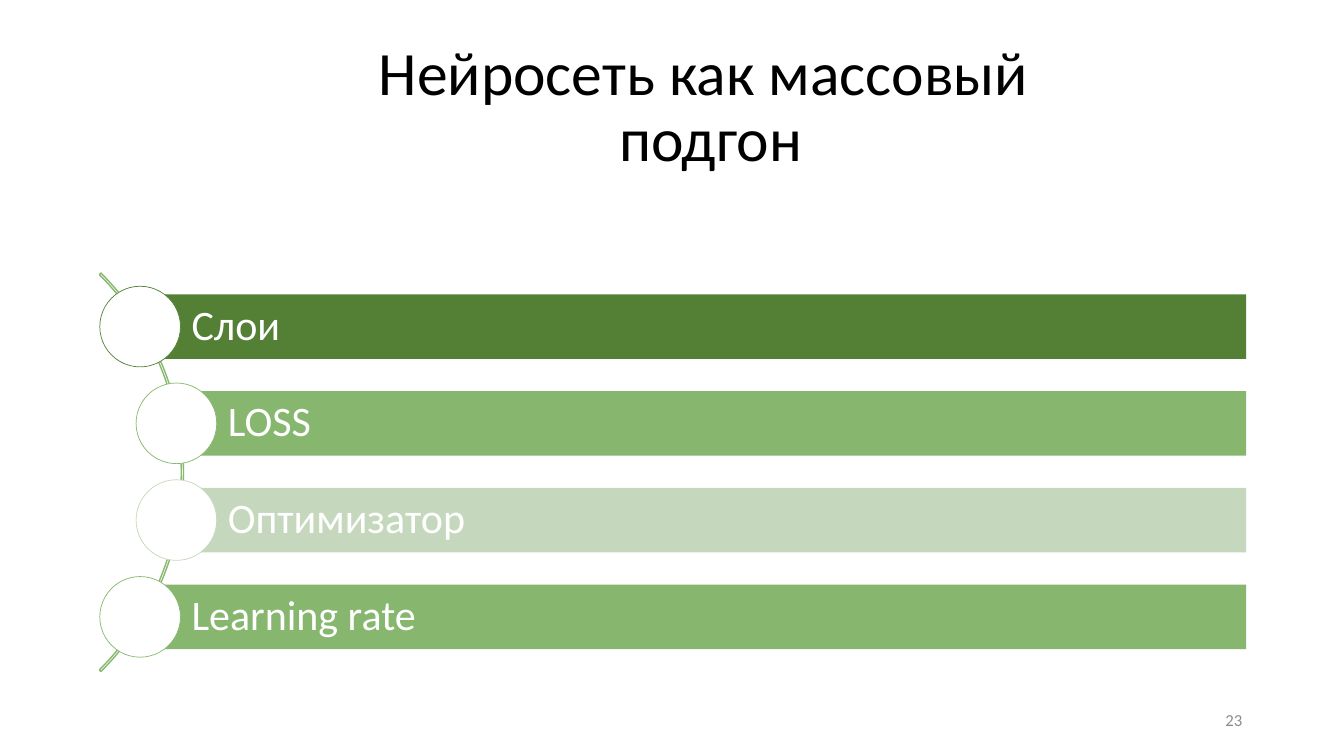
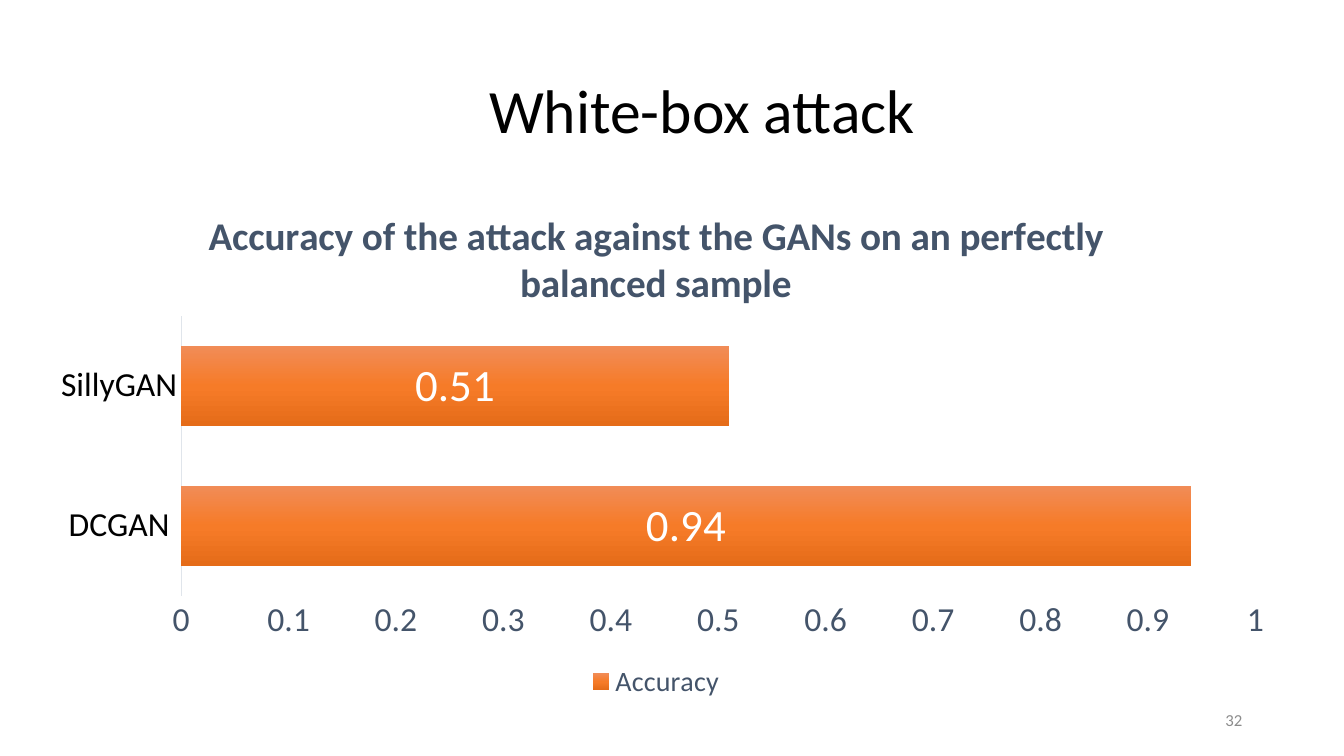
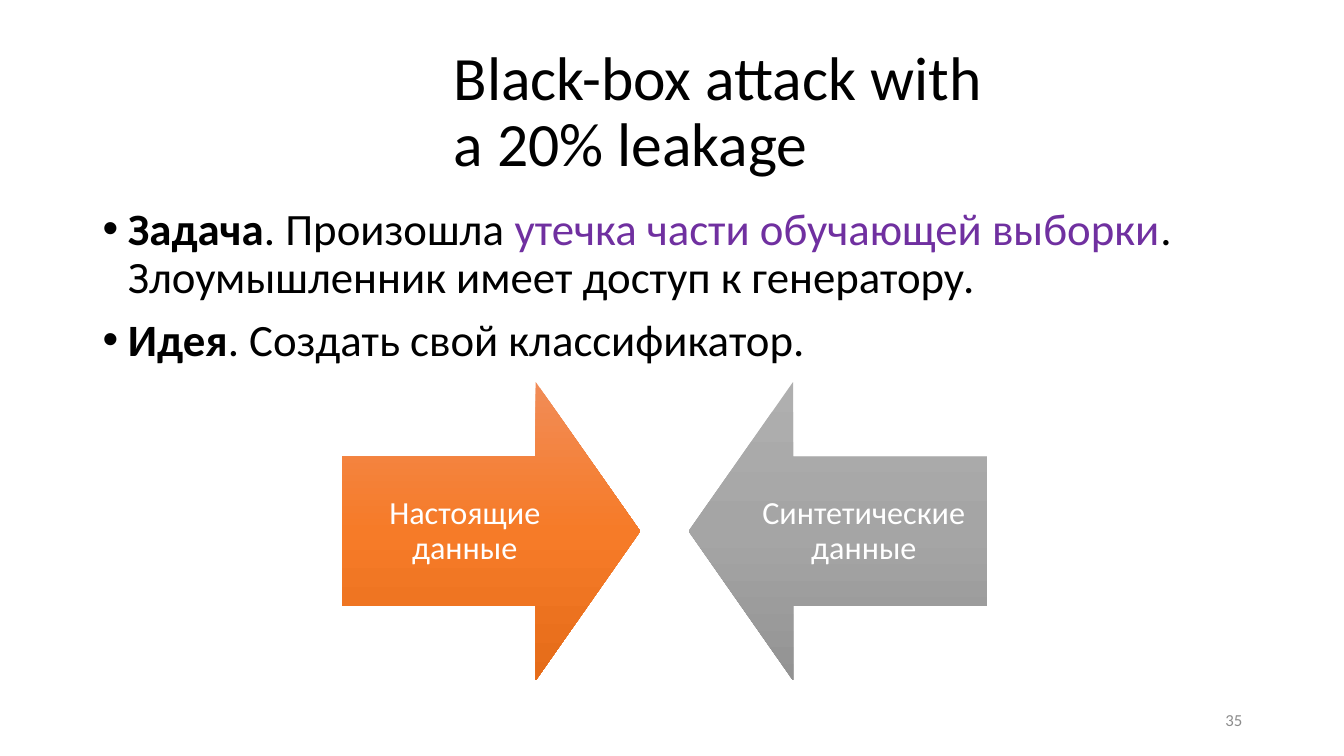
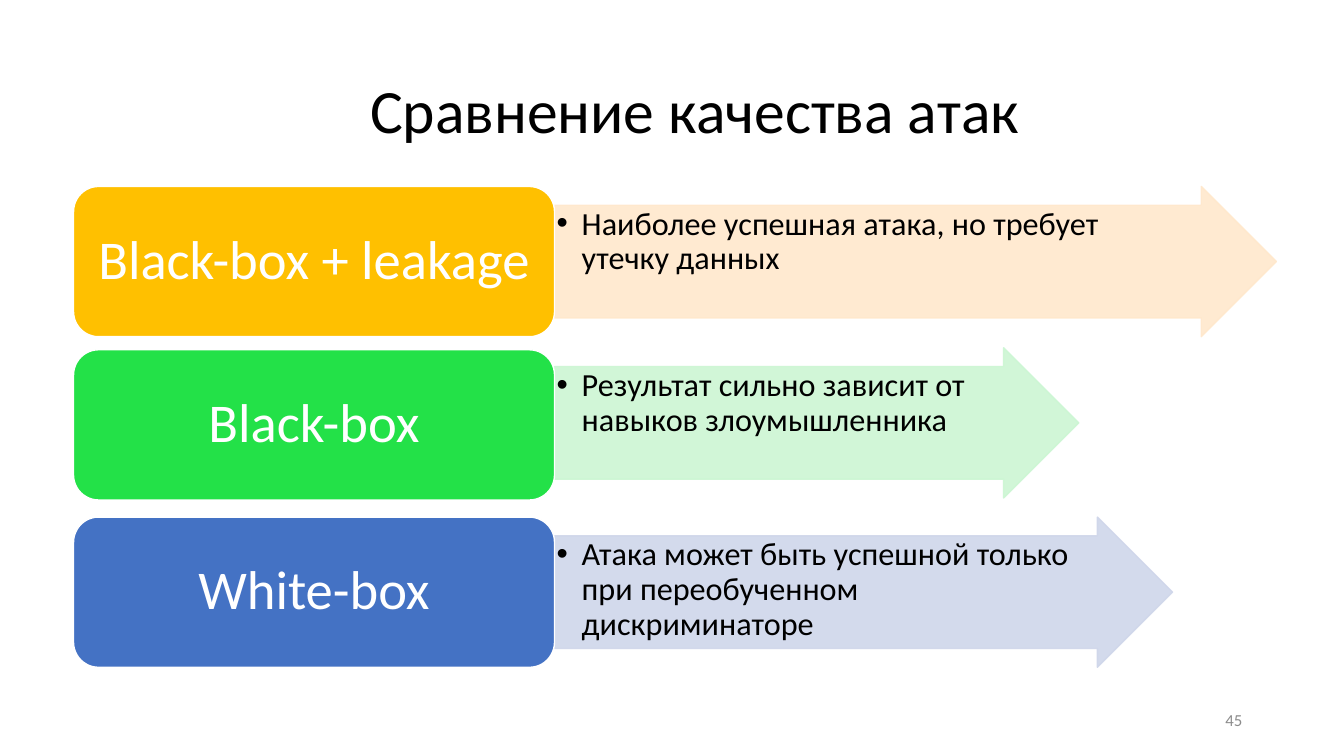
from dataclasses import dataclass
from typing import NamedTuple

from lxml.etree import SubElement
from pptx import Presentation
from pptx.chart.data import CategoryChartData
from pptx.chart.series import BarSeries
from pptx.dml.color import RGBColor
from pptx.enum.chart import XL_CHART_TYPE, XL_LABEL_POSITION, XL_LEGEND_POSITION, XL_TICK_MARK
from pptx.enum.shapes import MSO_SHAPE
from pptx.enum.text import MSO_ANCHOR, MSO_AUTO_SIZE, PP_ALIGN
from pptx.oxml import parse_xml
from pptx.oxml.ns import nsdecls, qn
from pptx.shapes.autoshape import Shape
from pptx.slide import Slide
from pptx.text.text import Font, TextFrame, _Paragraph as Paragraph
from pptx.util import Pt

EMU_PER_PX = 9144  # 100 px to the inch


@dataclass(frozen=True)
class Theme:
    font: str = "Calibri"
    black: str = "000000"
    white: str = "FFFFFF"
    number_gray: str = "8C8C8C"
    slate: str = "44546A"
    axis_line: str = "E0E5EB"
    purple: str = "7030A0"
    dark_green: str = "538035"
    green: str = "87B76E"
    pale_green: str = "C5D8BD"
    orange_gradient: tuple[str, ...] = ("F18C57", "F67B28", "E56C19")
    gray_gradient: tuple[str, ...] = ("AFAFAF", "A5A5A5", "939393")
    title_size: int = 44
    label_size: int = 39
    body_size: int = 32
    bar_size: int = 30
    chart_title_size: int = 28
    axis_size: int = 24
    note_size: int = 23
    legend_size: int = 20
    number_size: int = 12
    line_spacing: float = 0.9


THEME = Theme()


class Box(NamedTuple):
    left: int
    top: int
    width: int
    height: int

    def emu(self) -> tuple[int, ...]:
        return tuple(px(length) for length in self)


class Insets(NamedTuple):
    left: int
    top: int
    right: int
    bottom: int


class Bar(NamedTuple):
    text: str
    circle_left: int
    color: str


class DataArrow(NamedTuple):
    text: str
    kind: MSO_SHAPE
    left: int
    gradient: tuple[str, ...]


class Piece(NamedTuple):
    text: str
    bold: bool = False
    color: str = THEME.black


class Attack(NamedTuple):
    name: str
    note: str
    label_top: int
    arrow_top: int
    arrow_width: int
    color: str
    tint: str


BARS = (
    Bar("Слои", 99, THEME.dark_green),
    Bar("LOSS", 135, THEME.green),
    Bar("Оптимизатор", 135, THEME.pale_green),
    Bar("Learning rate", 99, THEME.green),
)
DATA_ARROWS = (
    DataArrow("Настоящие данные", MSO_SHAPE.RIGHT_ARROW, 339, THEME.orange_gradient),
    DataArrow("Синтетические данные", MSO_SHAPE.LEFT_ARROW, 683, THEME.gray_gradient),
)
LEAKAGE_POINTS = (
    (
        Piece("Задача", bold=True),
        Piece(". Произошла "),
        Piece("утечка части обучающей выборки", color=THEME.purple),
        Piece(". Злоумышленник имеет доступ к генератору."),
    ),
    (Piece("Идея", bold=True), Piece(". Создать свой классификатор.")),
)
ATTACKS = (
    Attack("Black-box + leakage", "Наиболее успешная атака, но требует утечку данных",
           185, 185, 716, "FFC000", "FFE8CC"),
    Attack("Black-box", "Результат сильно зависит от навыков злоумышленника",
           347, 345, 520, "23E148", "CCF6D3"),
    Attack("White-box", "Атака может быть успешной только при переобученном дискриминаторе",
           513, 513, 613, "4472C4", "CFD6EA"),
)


def px(length: int) -> int:
    return length * EMU_PER_PX


def rgb(color: str) -> RGBColor:
    return RGBColor.from_string(color)


def format_font(font: Font, size: int, color: str, bold: bool = False) -> None:
    font.name = THEME.font
    font.size = Pt(size)
    font.bold = bold
    font.color.rgb = rgb(color)


def format_paragraph(paragraph: Paragraph, size: int, color: str,
                     align: PP_ALIGN = PP_ALIGN.LEFT) -> None:
    paragraph.alignment = align
    paragraph.line_spacing = THEME.line_spacing
    for run in paragraph.runs:
        format_font(run.font, size, color)


def add_bullet(paragraph: Paragraph) -> None:
    properties = paragraph._p.get_or_add_pPr()
    properties.set("marL", str(px(25)))
    properties.set("indent", str(px(-25)))
    SubElement(properties, qn("a:buFont")).set("typeface", "Arial")
    SubElement(properties, qn("a:buChar")).set("char", "•")


def set_up_frame(frame: TextFrame, anchor: MSO_ANCHOR, insets: Insets = Insets(10, 5, 10, 5)) -> None:
    frame.word_wrap = True
    frame.auto_size = MSO_AUTO_SIZE.NONE
    frame.vertical_anchor = anchor
    frame.margin_left, frame.margin_top, frame.margin_right, frame.margin_bottom = map(px, insets)


def add_shape(slide: Slide, kind: MSO_SHAPE, box: Box, fill: str | None = None,
              line: str | None = None, line_width: float = 1,
              adjustments: tuple[float, ...] = ()) -> Shape:
    shape = slide.shapes.add_shape(kind, *box.emu())
    shape.shadow.inherit = False
    for index, value in enumerate(adjustments):
        shape.adjustments[index] = value
    if fill:
        shape.fill.solid()
        shape.fill.fore_color.rgb = rgb(fill)
    else:
        shape.fill.background()
    if line:
        shape.line.color.rgb = rgb(line)
        shape.line.width = Pt(line_width)
    else:
        shape.line.fill.background()
    return shape


def write_in_shape(shape: Shape, text: str, size: int, insets: Insets,
                   align: PP_ALIGN = PP_ALIGN.CENTER) -> None:
    set_up_frame(shape.text_frame, MSO_ANCHOR.MIDDLE, insets)
    shape.text_frame.text = text
    format_paragraph(shape.text_frame.paragraphs[0], size, THEME.white, align)


def apply_gradient(owner: Shape | BarSeries, colors: tuple[str, ...]) -> None:
    """Fill a shape or chart series from top to bottom with evenly spaced colours."""
    fill = owner.fill if isinstance(owner, Shape) else owner.format.fill
    fill.gradient()
    step = 100000 // (len(colors) - 1)
    stops = "".join(
        f'<a:gs pos="{index * step}"><a:srgbClr val="{color}"/></a:gs>'
        for index, color in enumerate(colors)
    )
    gradient = parse_xml(
        f'<a:gradFill {nsdecls("a")} rotWithShape="1"><a:gsLst>{stops}</a:gsLst>'
        '<a:lin ang="5400000" scaled="0"/></a:gradFill>'
    )
    old_gradient = next(owner._element.iter(qn("a:gradFill")))
    old_gradient.getparent().replace(old_gradient, gradient)


def set_opacity(shape: Shape, percent: int) -> None:
    for color in shape._element.spPr.iter(qn("a:srgbClr")):
        SubElement(color, qn("a:alpha")).set("val", str(percent * 1000))


def add_titled_slide(presentation: Presentation, title: str, box: Box, number: int,
                     align: PP_ALIGN = PP_ALIGN.LEFT) -> Slide:
    slide = presentation.slides.add_slide(presentation.slide_layouts.get_by_name("Title Only"))
    placeholder = slide.shapes.title
    placeholder.left, placeholder.top, placeholder.width, placeholder.height = box.emu()
    set_up_frame(placeholder.text_frame, MSO_ANCHOR.MIDDLE)
    placeholder.text_frame.text = title
    format_paragraph(placeholder.text_frame.paragraphs[0], THEME.title_size, THEME.black, align)

    frame = slide.shapes.add_textbox(*Box(942, 695, 300, 40).emu()).text_frame
    set_up_frame(frame, MSO_ANCHOR.MIDDLE)
    frame.text = str(number)
    format_paragraph(frame.paragraphs[0], THEME.number_size, THEME.number_gray, PP_ALIGN.RIGHT)
    return slide


def build_network_slide(presentation: Presentation) -> None:
    slide = add_titled_slide(presentation, "Нейросеть как массовый \vподгон",
                             Box(349, 35, 712, 145), 23, PP_ALIGN.CENTER)
    add_shape(slide, MSO_SHAPE.BLOCK_ARC, Box(-377, 189, 559, 559), line="88B76F",
              adjustments=(189, 27, 0.004))
    first_top, pitch, bar_height, circle_size, right_edge = 292, 96, 64, 80, 1236
    for index, bar in enumerate(BARS):
        top = first_top + index * pitch
        left = bar.circle_left + circle_size // 2
        rectangle = add_shape(slide, MSO_SHAPE.RECTANGLE,
                              Box(left, top, right_edge - left, bar_height), bar.color)
        write_in_shape(rectangle, bar.text, THEME.bar_size, Insets(51, 8, 8, 8), PP_ALIGN.LEFT)
        circle_top = top - (circle_size - bar_height) // 2
        add_shape(slide, MSO_SHAPE.OVAL,
                  Box(bar.circle_left, circle_top, circle_size, circle_size),
                  THEME.white, bar.color, 0.5)


def add_accuracy_chart(slide: Slide) -> None:
    data = CategoryChartData()
    data.categories = ("DCGAN ", "SillyGAN")
    data.add_series("Accuracy", (0.94, 0.51))
    chart = slide.shapes.add_chart(XL_CHART_TYPE.BAR_STACKED,
                                   *Box(31, 185, 1239, 514).emu(), data).chart
    format_font(chart.font, 10, THEME.black)

    chart.has_title = True
    title_frame = chart.chart_title.text_frame
    title_frame.text = "Accuracy of the attack against the GANs on an perfectly balanced sample"
    format_font(title_frame.paragraphs[0].runs[0].font, THEME.chart_title_size, THEME.slate, True)
    chart.chart_title.include_in_layout = False

    chart.has_legend = True
    chart.legend.position = XL_LEGEND_POSITION.BOTTOM
    chart.legend.include_in_layout = False
    format_font(chart.legend.font, THEME.legend_size, THEME.slate)

    for axis, color in ((chart.category_axis, THEME.black), (chart.value_axis, THEME.slate)):
        axis.major_tick_mark = axis.minor_tick_mark = XL_TICK_MARK.NONE
        axis.has_major_gridlines = False
        format_font(axis.tick_labels.font, THEME.axis_size, color)
    chart.category_axis.format.line.color.rgb = rgb(THEME.axis_line)
    chart.category_axis.format.line.width = Pt(0.75)
    value_axis = chart.value_axis
    value_axis.format.line.fill.background()
    value_axis.minimum_scale, value_axis.maximum_scale, value_axis.major_unit = 0, 1, 0.1

    plot = chart.plots[0]
    plot.gap_width, plot.overlap, plot.vary_by_categories = 75, 100, False
    series = plot.series[0]
    series.invert_if_negative = False
    apply_gradient(series, THEME.orange_gradient)
    labels = series.data_labels
    labels.show_value = True
    labels.position = XL_LABEL_POSITION.CENTER
    format_font(labels.font, THEME.body_size, THEME.white)
    place_plot_area(chart._chartSpace.chart.plotArea, x=0.12, y=0.25, w=0.86, h=0.54)


def place_plot_area(plot_area, **fractions: float) -> None:
    """Fix the inner plot area as fractions of the chart frame."""
    for old_layout in plot_area.findall(qn("c:layout")):
        plot_area.remove(old_layout)
    sizes = "".join(f'<c:{name} val="{value}"/>' for name, value in fractions.items())
    plot_area.insert(0, parse_xml(
        f'<c:layout {nsdecls("c")}><c:manualLayout><c:layoutTarget val="inner"/>'
        f'<c:xMode val="edge"/><c:yMode val="edge"/>{sizes}</c:manualLayout></c:layout>'
    ))


def build_white_box_slide(presentation: Presentation) -> None:
    slide = add_titled_slide(presentation, "White-box attack", Box(475, 40, 767, 145), 32)
    add_accuracy_chart(slide)


def build_leakage_slide(presentation: Presentation) -> None:
    slide = add_titled_slide(presentation, "Black-box attack with \va 20% leakage",
                             Box(440, 40, 801, 145), 35)
    frame = slide.shapes.add_textbox(*Box(92, 200, 1150, 476).emu()).text_frame
    set_up_frame(frame, MSO_ANCHOR.TOP)
    for index, pieces in enumerate(LEAKAGE_POINTS):
        paragraph = frame.add_paragraph() if index else frame.paragraphs[0]
        add_bullet(paragraph)
        format_paragraph(paragraph, THEME.body_size, THEME.black)
        paragraph.space_before = Pt(10 if index else 0)
        for piece in pieces:
            run = paragraph.add_run()
            run.text = piece.text
            format_font(run.font, THEME.body_size, piece.color, piece.bold)

    for arrow in DATA_ARROWS:
        shape = add_shape(slide, arrow.kind, Box(arrow.left, 379, 296, 296),
                          adjustments=(0.5, 0.35))
        apply_gradient(shape, arrow.gradient)
        write_in_shape(shape, arrow.text, THEME.note_size, Insets(18, 18, 18, 18))


def build_comparison_slide(presentation: Presentation) -> None:
    slide = add_titled_slide(presentation, "Сравнение качества атак", Box(357, 40, 885, 145), 45)
    label_left, label_width, row_height = 73, 477, 149
    for attack in ATTACKS:
        arrow = add_shape(slide, MSO_SHAPE.RIGHT_ARROW,
                          Box(label_left + label_width, attack.arrow_top,
                              attack.arrow_width, row_height),
                          attack.tint, attack.tint, adjustments=(0.75, 0.5))
        set_opacity(arrow, 90)
        frame = arrow.text_frame
        set_up_frame(frame, MSO_ANCHOR.TOP, Insets(2, 2, 39, 2))
        frame.text = attack.note
        add_bullet(frame.paragraphs[0])
        format_paragraph(frame.paragraphs[0], THEME.note_size, THEME.black)

        label = add_shape(slide, MSO_SHAPE.ROUNDED_RECTANGLE,
                          Box(label_left, attack.label_top, label_width, row_height),
                          attack.color, THEME.white)
        write_in_shape(label, attack.name, THEME.label_size, Insets(16, 8, 16, 8))


def main() -> None:
    presentation = Presentation()
    presentation.slide_width, presentation.slide_height = px(1333), px(750)
    build_network_slide(presentation)
    build_white_box_slide(presentation)
    build_leakage_slide(presentation)
    build_comparison_slide(presentation)
    presentation.save("out.pptx")


if __name__ == "__main__":
    main()
